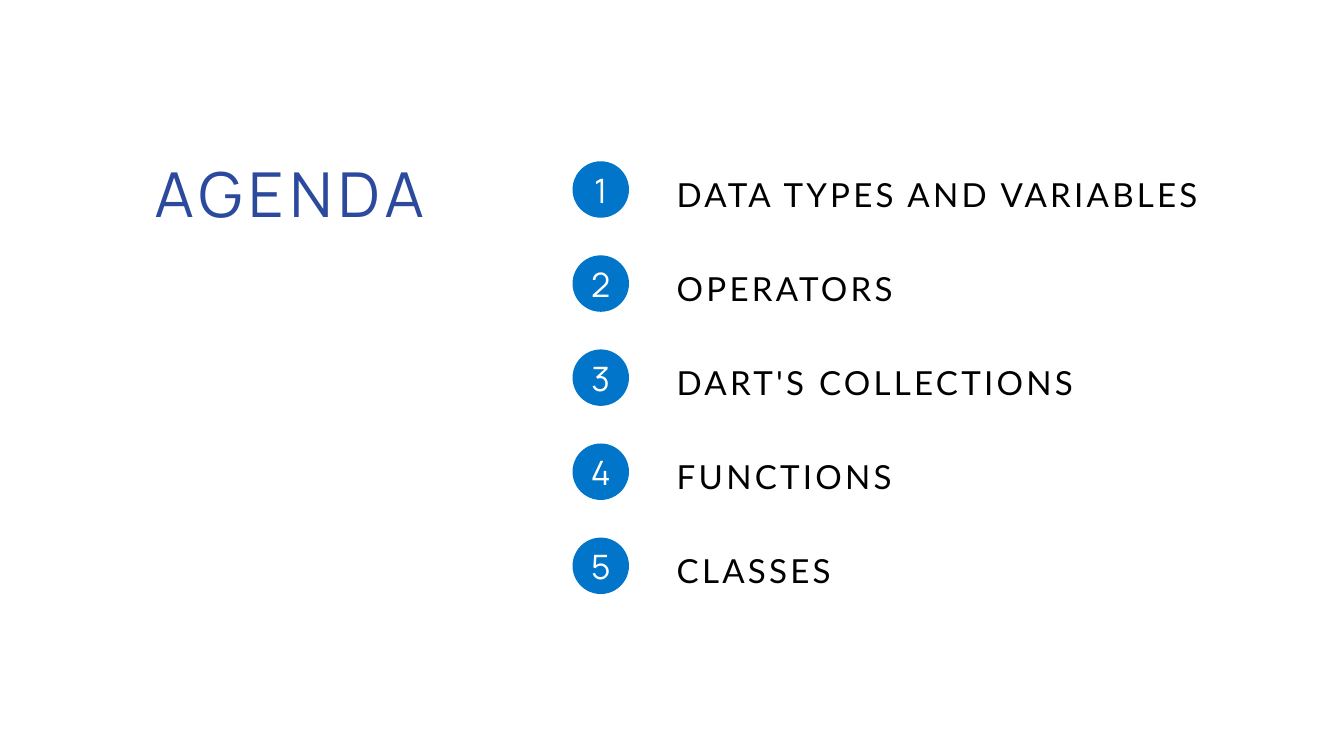
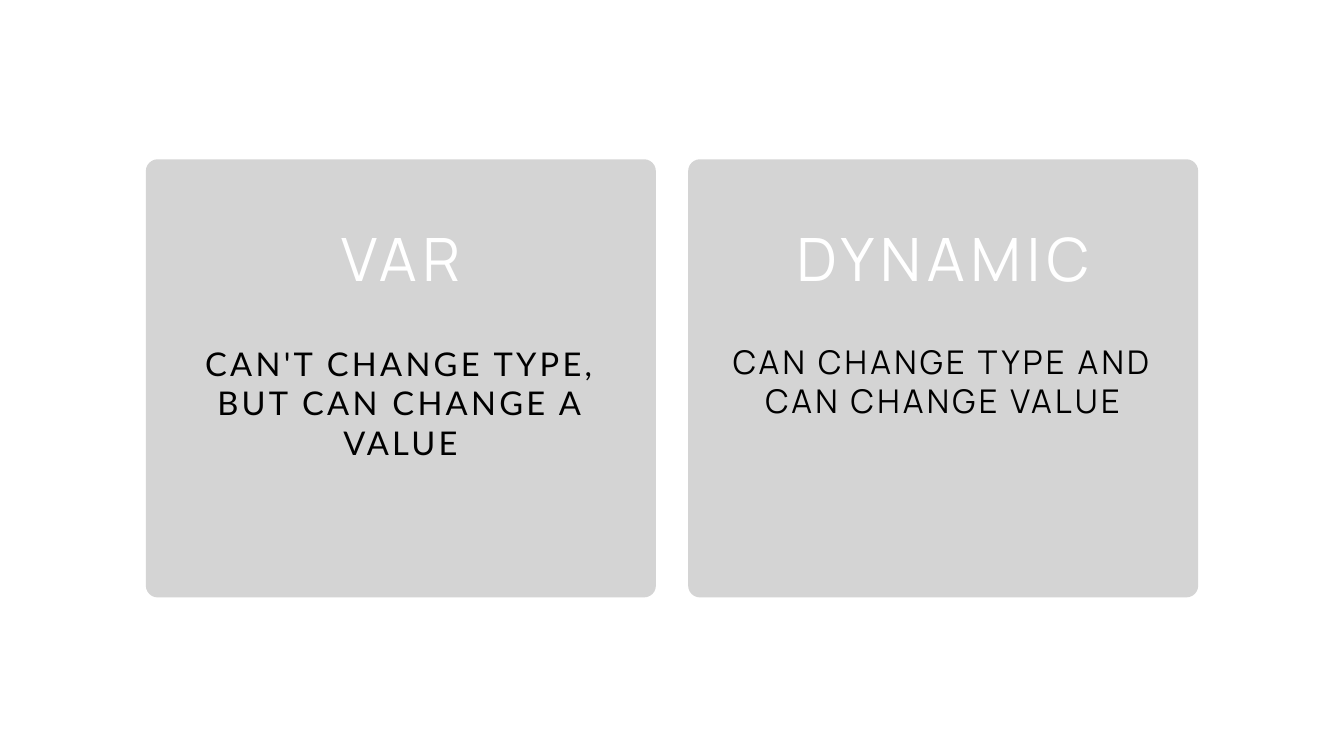
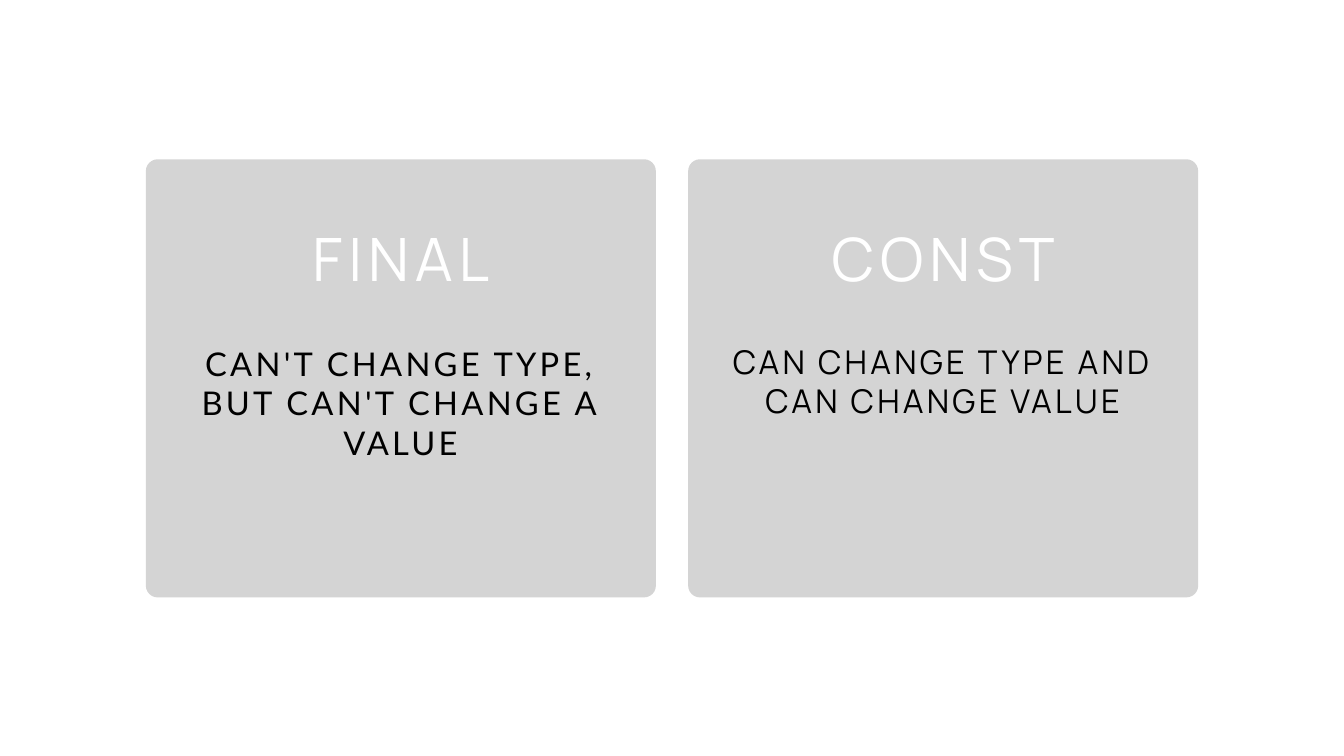
import pptx
import pptx.dml.color
import pptx.enum.shapes
import pptx.enum.text
import pptx.util

SCALE = 9144
SHAPE = pptx.enum.shapes.MSO_SHAPE
ALIGN = pptx.enum.text.PP_ALIGN
FIT = pptx.enum.text.MSO_AUTO_SIZE

BLUE = "0075C9"
NAVY = "2B4A9D"
GREY = "D4D4D4"
WHITE = "FFFFFF"
BLACK = "000000"

STYLES = {
    "title": ("Manrope", 66.4, NAVY, 6.6, 79.7, ALIGN.LEFT),
    "item": ("Lato", 35.5, BLACK, 3.5, 70.9, ALIGN.LEFT),
    "number": ("Manrope", 36, WHITE, 3.6, 56.5, ALIGN.CENTER),
    "head": ("Manrope", 64, WHITE, 6.4, 100.5, ALIGN.CENTER),
    "lato": ("Lato", 35, BLACK, 3.5, 42, ALIGN.CENTER),
    "manrope": ("Manrope", 35, BLACK, 3.5, 42, ALIGN.CENTER),
}

TOPICS = [
    "DATA TYPES AND VARIABLES",
    "OPERATORS",
    "DART'S COLLECTIONS",
    "FUNCTIONS",
    "CLASSES",
]

CARD_TOP, CARD_WIDTH, CARD_HEIGHT = 237, 759, 652
BODY_WIDTH = 636
CARDS = [
    {"left": 217, "head": 361, "body": 512, "high": 176, "style": "lato"},
    {"left": 1024, "head": 673, "body": 509, "high": 179, "style": "manrope"},
]
PAIRS = [
    [("VAR", "CAN'T CHANGE TYPE, BUT CAN CHANGE A VALUE"),
     ("DYNAMIC", "CAN CHANGE TYPE AND CAN CHANGE VALUE")],
    [("FINAL", "CAN'T CHANGE TYPE, BUT CAN'T CHANGE A VALUE"),
     ("CONST", "CAN CHANGE TYPE AND CAN CHANGE VALUE")],
]


def px(*values):
    return [pptx.util.Emu(value * SCALE) for value in values]


def color(code):
    return pptx.dml.color.RGBColor.from_string(code)


def apply(target, values):
    for name, value in values.items():
        setattr(target, name, value)


class Deck:
    def __init__(self, width, height):
        self.file = pptx.Presentation()
        self.file.slide_width, self.file.slide_height = px(width, height)
        self.slide = None

    def page(self):
        self.slide = self.file.slides.add_slide(self.file.slide_layouts[6])
        fill = self.slide.background.fill
        fill.solid()
        fill.fore_color.rgb = color(WHITE)

    def shape(self, kind, box, tone):
        shape = self.slide.shapes.add_shape(kind, *px(*box))
        shape.shadow.inherit = False
        shape.fill.solid()
        shape.fill.fore_color.rgb = color(tone)
        shape.line.fill.background()
        return shape

    def text(self, words, box, style):
        face, size, tone, gap, lead, align = STYLES[style]
        frame = self.slide.shapes.add_textbox(*px(*box)).text_frame
        apply(frame, {
            "margin_left": 0, "margin_top": 0,
            "margin_right": 0, "margin_bottom": 0,
            "word_wrap": True, "auto_size": FIT.SHAPE_TO_FIT_TEXT,
        })
        para = frame.paragraphs[0]
        apply(para, {"alignment": align, "line_spacing": pptx.util.Pt(lead)})
        run = para.add_run()
        run.text = words
        apply(run.font, {"name": face, "size": pptx.util.Pt(size)})
        run.font.color.rgb = color(tone)
        run._r.get_or_add_rPr().set("spc", str(round(gap * 100)))

    def topic(self, index, words):
        top = 220 + 140 * index
        self.text(words, (1007, top, 801, 89), "item")
        self.shape(SHAPE.OVAL, (852, top + 20, 84, 84), BLUE)
        self.text(str(index + 1), (864, top + 14, 60, 77), "number")

    def card(self, spot, head, body):
        left = spot["left"]
        box = (left, CARD_TOP, CARD_WIDTH, CARD_HEIGHT)
        self.shape(SHAPE.ROUNDED_RECTANGLE, box, GREY).adjustments[0] = 0.027
        rows = [
            (body, spot["body"], BODY_WIDTH, spot["high"], spot["style"]),
            (head, 297, spot["head"], 137, "head"),
        ]
        for words, top, width, height, style in rows:
            inset = (CARD_WIDTH - width) // 2
            self.text(words, (left + inset, top, width, height), style)


def main():
    deck = Deck(2000, 1125)
    deck.page()
    for index, words in enumerate(TOPICS):
        deck.topic(index, words)
    deck.text("AGENDA", (230, 232, 466, 117), "title")
    for pair in PAIRS:
        deck.page()
        for spot, (head, body) in zip(CARDS, pair):
            deck.card(spot, head, body)
    deck.file.save("out.pptx")


if __name__ == "__main__":
    main()
